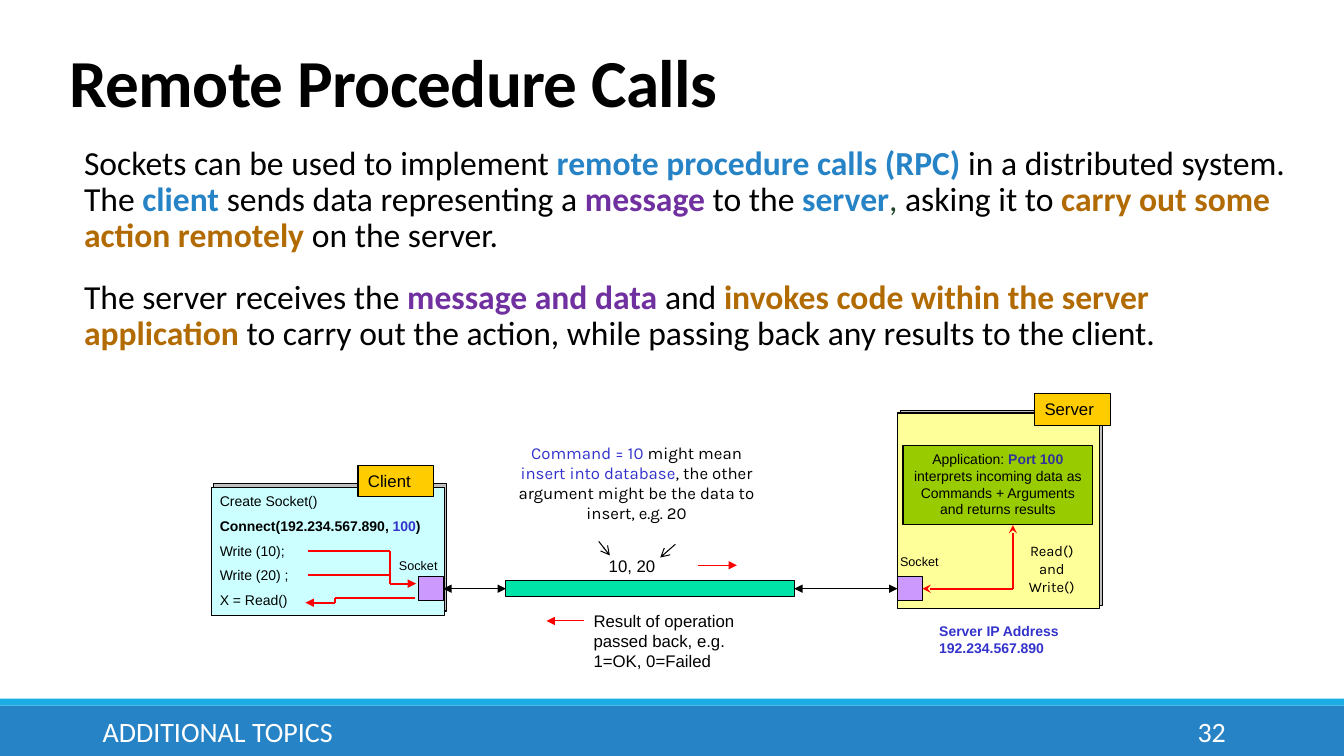
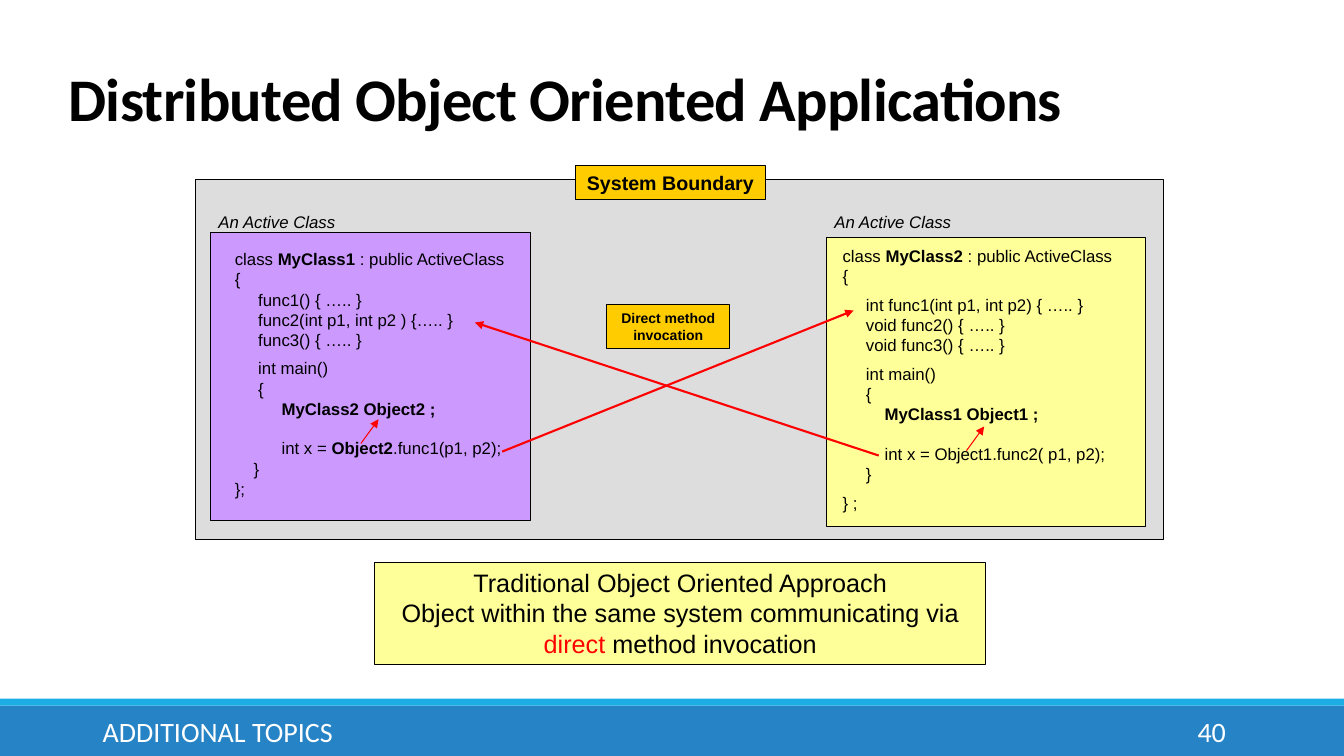
from itertools import pairwise

from lxml.etree import SubElement
from pptx import Presentation
from pptx.dml.color import RGBColor
from pptx.enum.shapes import MSO_CONNECTOR as CONN, MSO_SHAPE as SHAPE
from pptx.enum.text import MSO_ANCHOR as ANCHOR, MSO_AUTO_SIZE as AUTO, PP_ALIGN as ALIGN
from pptx.oxml.ns import qn
from pptx.util import Pt

COLORS = {
    "black": "000000", "white": "FFFFFF", "red": "FF0000",
    "band": "2683C6", "stripe": "1CADE4", "purple": "7030A0", "brown": "B26B02",
    "comma": "1F442A", "indigo": "3333CC", "port": "333399", "shadow": "C0C0C0",
    "cyan": "CCFFFF", "yellow": "FFFF99", "gold": "FFCC00", "lilac": "CC99FF",
    "lime": "99CC00", "mint": "00E4A8", "grey": "DDDDDD",
}
TOP, LEFT, BOTTOM, RIGHT = range(4)
INSET = (7.2, 3.6, 7.2, 3.6)
SPACE = 3.34  # width of one code space at 12 pt

BLUE = {"color": "band", "bold": True}
PURPLE = {"color": "purple", "bold": True}
BROWN = {"color": "brown", "bold": True}
INDIGO = {"color": "indigo"}
BOLD = {"bold": True}


def rgb(name):
    return RGBColor.from_string(COLORS[name])


# Text
def write(tf, paras, size=12, gap=0, align=ALIGN.LEFT, anchor=ANCHOR.TOP, inset=INSET,
          spacing=None, name="Arial", color="black", **base):
    """Each paragraph is a list of strings or (string, style) pairs."""
    frame = {"word_wrap": True, "auto_size": AUTO.NONE, "vertical_anchor": anchor}
    sides = ("margin_left", "margin_top", "margin_right", "margin_bottom")
    frame.update((side, Pt(v)) for side, v in zip(sides, inset))
    for attr, value in frame.items():
        setattr(tf, attr, value)
    for i, runs in enumerate(paras):
        p = tf.add_paragraph() if i else tf.paragraphs[0]
        p.alignment, p.line_spacing = align, spacing
        p.space_before = Pt(gap if i else 0)
        for run in runs:
            text, style = (run, {}) if isinstance(run, str) else run
            r = p.add_run()
            r.text = text
            values = {"size": Pt(size), "name": name, "color": color, **base, **style}
            r.font.color.rgb = rgb(values.pop("color"))
            for attr, value in values.items():
                setattr(r.font, attr, value)


def add_text(s, box, paras, **fmt):
    sp = s.shapes.add_textbox(*map(Pt, box))
    write(sp.text_frame, paras, **fmt)
    return sp


# Shapes and lines
def add_rect(s, box, fill, paras=(), line="black", **fmt):
    sp = s.shapes.add_shape(SHAPE.RECTANGLE, *map(Pt, box))
    sp.shadow.inherit = False
    sp.fill.solid()
    sp.fill.fore_color.rgb = rgb(fill)
    if line:
        sp.line.color.rgb = rgb(line)
        sp.line.width = Pt(0.75)
    else:
        sp.line.fill.background()
    write(sp.text_frame, paras, **fmt)
    return sp


def add_line(s, start, end, color="red", width=0.75, head=None, tail=None):
    c = s.shapes.add_connector(CONN.STRAIGHT, *map(Pt, (*start, *end)))
    c.line.color.rgb = rgb(color)
    c.line.width = Pt(width)
    ln = c.line._get_or_add_ln()
    for tag, kind in (("a:headEnd", head), ("a:tailEnd", tail)):
        if kind:
            SubElement(ln, qn(tag), type=kind)
    SubElement(c._element.spPr, qn("a:effectLst"))
    return c


def add_route(s, points, head=None, tail=None):
    """Join the points by straight lines, with arrowheads at the two ends."""
    legs = list(pairwise(points))
    last = len(legs) - 1
    return [add_line(s, a, b, width=1.5, head=None if i else head,
                     tail=tail if i == last else None)
            for i, (a, b) in enumerate(legs)]


def shift(x, y, *points):
    return [(x + dx, y + dy) for dx, dy in points]


# Shared slide frame: title, bands, footer
def new_slide(prs, title, box, size, number):
    s = prs.slides.add_slide(prs.slide_layouts[5])
    add_rect(s, (0, 504, 960, 36), "band", line=None)
    add_rect(s, (0, 499, 960, 5), "stripe", line=None)
    footer = {"size": 20, "name": "Calibri", "color": "white", "anchor": ANCHOR.MIDDLE}
    add_text(s, (66.2, 508.3, 604, 28.8), [["ADDITIONAL TOPICS"]], **footer)
    add_text(s, (779.8, 508.3, 103, 28.8), [[number]], align=ALIGN.RIGHT, **footer)
    sp = s.shapes.title
    sp.left, sp.top, sp.width, sp.height = map(Pt, box)
    write(sp.text_frame, [[title]], size=size, name="Calibri", bold=True,
          anchor=ANCHOR.BOTTOM, spacing=0.85)
    for r in sp.text_frame.paragraphs[0].runs:
        r._r.get_or_add_rPr().set("spc", "-50")
    return s


# Remote procedure calls: one machine with its tab and socket
def machine(s, box, fill, name, shadow, tab, socket, label, paras=(), **fmt):
    x, y, w, h = box
    add_rect(s, (x + shadow[0], y + shadow[1], w, h), "shadow")
    add_rect(s, box, fill, paras, **fmt)
    add_rect(s, (x + tab[0], y + tab[1], 54, 22.3), "gold", [[name]])
    add_text(s, (x + label[0], y + label[1], 59, 18), [["Socket"]], size=9)
    return add_rect(s, (x + socket[0], y + socket[1], 18, 17.5), "lilac")


def client(s, box):
    x, y = box[:2]
    calls = [["Create Socket()"],
             [("Connect(192.234.567.890, ", BOLD), ("100", {**BOLD, **INDIGO}), (")", BOLD)],
             ["Write (10);"], ["Write (20) ;"], ["X = Read()"]]
    socket = machine(s, box, "cyan", "Client", (1.5, -3), (104.5, -16), (147.5, 63.25),
                     (126.7, 46.8), calls, size=10, gap=5.6, inset=(5.8, 3.6, 0, 0))
    # Writes go to the socket, the read comes back
    add_route(s, shift(x, y, (69, 45.3), (127.5, 45.3), (127.5, 68.4), (146, 68.4)),
              tail="triangle")
    add_route(s, shift(x, y, (69, 62), (127.5, 62)))
    add_route(s, shift(x, y, (145.5, 78.5), (88, 78.5), (88, 82), (67, 82)),
              tail="triangle")
    return socket


def server(s, box):
    x, y = box[:2]
    socket = machine(s, box, "yellow", "Server", (2, -2), (98, -13.7), (0, 116.75),
                     (-5.2, 97.4))
    add_rect(s, (x + 4, y + 23.2, 135.4, 56.2), "lime",
             [["Application: ", ("Port 100", {"color": "port", "bold": True})],
              ["interprets incoming data as Commands + Arguments and returns results"]],
             size=10, align=ALIGN.CENTER)
    route = add_route(s, shift(x, y, (18, 125.5), (82.5, 125.5), (82.5, 80.1)),
                      head="stealth", tail="stealth")
    route[0].begin_connect(socket, RIGHT)
    add_text(s, (x + 82.6, y + 88.8, 55.4, 43.2), [["Read() and Write()"]],
             size=10.5, name="Karla", align=ALIGN.CENTER)
    add_text(s, (x + 22.8, y + 146.4, 116.6, 31),
             [["Server IP Address"], ["192.234.567.890"]],
             size=10, color="indigo", bold=True)
    return socket


def channel(s, box, client_socket, server_socket):
    x, y, w, h = box
    bar = add_rect(s, box, "mint")
    for a, side_a, b, side_b in ((client_socket, RIGHT, bar, LEFT),
                                 (bar, RIGHT, server_socket, LEFT)):
        c = add_line(s, (x, y), (x + w, y), "black", head="triangle", tail="triangle")
        c.begin_connect(a, side_a)
        c.end_connect(b, side_b)
    # Message above the bar
    add_text(s, (x - 5, y - 102.2, 196.6, 65),
             [[("Command = 10", INDIGO), " might mean ", ("insert into database", INDIGO),
               ", the other argument might be the data to insert, e.g. 20"]],
             name="Karla", align=ALIGN.CENTER)
    add_text(s, (x + 66.3, y - 21, 76, 21.6), [["10, 20"]])
    for hint in (((66.3, -28), (74.2, -18)), ((121, -26), (110.2, -16.5))):
        add_line(s, *shift(x, y, *hint), "black", tail="arrow")
    add_line(s, *shift(x, y, (137.5, -11), (165, -11)), tail="triangle")
    # Result below the bar
    add_text(s, (x + 55.5, y + 18, 137.5, 51),
             [["Result of operation passed back, e.g. 1=OK, 0=Failed"]])
    add_line(s, *shift(x, y, (29, 28.8), (56, 28.8)), head="triangle")


def rpc_slide(prs):
    s = new_slide(prs, "Remote Procedure Calls", (42.5, 29.5, 792, 61), 48, "32")
    body = add_text(s, (60, 100.8, 866, 156), [
        ["Sockets can be used to implement ", ("remote procedure calls (RPC) ", BLUE),
         "in a distributed system. The ", ("client", BLUE), " sends data representing a ",
         ("message", PURPLE), " to the ", ("server", BLUE), (",", {"color": "comma"}),
         " asking it to ", ("carry out some action remotely", BROWN), " on the server."],
        ["The server receives the ", ("message and data ", PURPLE), "and ",
         ("invokes code within the server application", BROWN),
         " to carry out the action, while passing back any results to the client."],
    ], size=24, name="Calibri", spacing=0.9, inset=(0, 3.6, 0, 3.6))
    for p in body.text_frame.paragraphs:
        p.space_after = Pt(18)
    client_socket = client(s, (151.2, 348.5, 166.3, 91))
    server_socket = server(s, (641, 295, 144.5, 139.5))
    channel(s, (361.4, 414.75, 206, 11.5), client_socket, server_socket)


# Distributed objects: one class listing; lines are (spaces, gap before, runs)
def class_panel(s, box, fill, label_rise, margin, lines, arrow):
    x, y = box[:2]
    sp = add_rect(s, box, fill, [runs for _, _, runs in lines], inset=(*margin, 0, 0))
    for p, (spaces, before, _) in zip(sp.text_frame.paragraphs, lines):
        p.space_before = Pt(before)
        p._p.get_or_add_pPr().set("marL", str(Pt(spaces * SPACE)))
    add_text(s, (x - 1.5, y - label_rise, 126.7, 21.6), [["An Active Class"]], italic=True)
    add_line(s, *shift(x, y, arrow, (arrow[0] + 12.6, arrow[1] - 17.3)), tail="triangle")


def boundary(s, box):
    x, y = box[:2]
    add_rect(s, box, "grey")
    class_panel(s, (x + 10.8, y + 38.1, 228.2, 205.5), "lilac", 18.7, (17.3, 11.5), [
        (0, 0, ["class ", ("MyClass1", BOLD), " : public ActiveClass"]),
        (0, 0, ["{"]),
        (5, 0, ["func1() { ….. }"]),
        (5, 0, ["func2(int p1, int p2 ) {….. }"]),
        (5, 0, ["func3() { ….. }"]),
        (5, 6, ["int main()"]),
        (5, 0, ["{"]),
        (10, 0, [("MyClass2 Object2 ;", BOLD)]),
        (10, 14, ["int x = ", ("Object2", BOLD), ".func1(p1, p2);"]),
        (4, 0, ["}"]),
        (0, 0, ["};"]),
    ], (107.3, 150.5))
    class_panel(s, (x + 450.7, y + 41.7, 228.2, 206), "yellow", 22.3, (11.5, 5.8), [
        (0, 0, ["class ", ("MyClass2", BOLD), " : public ActiveClass"]),
        (0, 0, ["{"]),
        (5, 6, ["int func1(int p1, int p2) { ….. }"]),
        (5, 0, ["void func2() { ….. }"]),
        (5, 0, ["void func3() { ….. }"]),
        (5, 6, ["int main()"]),
        (5, 0, ["{"]),
        (9, 0, [("MyClass1 Object1 ;", BOLD)]),
        (9, 14, ["int x = Object1.func2( p1, p2);"]),
        (5, 0, ["}"]),
        (0, 6, ["} ;"]),
    ], (100, 152))
    # Calls between the two classes
    for call in (((219, 194.4), (470, 93.6)), ((488, 197.2), (199.5, 102.2))):
        add_route(s, shift(x, y, *call), tail="triangle")
    add_rect(s, (x + 293.7, y + 89.2, 87.8, 31.7), "gold", [["Direct method invocation"]],
             size=10, bold=True, align=ALIGN.CENTER)
    add_rect(s, (x + 271.5, y - 10, 135.4, 24.5), "gold", [["System Boundary"]],
             size=14, bold=True, align=ALIGN.CENTER, inset=(3, 3.6, 3, 3.6))


def objects_slide(prs):
    s = new_slide(prs, "Distributed Object Oriented Applications",
                  (41.8, 38.2, 792, 61), 43.2, "40")
    boundary(s, (139.7, 128.2, 691.2, 257))
    add_rect(s, (267.8, 401.8, 436.3, 72.7), "yellow",
             [["Traditional Object Oriented Approach"],
              ["Object within the same system communicating via ",
               ("direct", {"color": "red"}), " method invocation"]],
             size=18, align=ALIGN.CENTER)


def main():
    prs = Presentation()
    prs.slide_width, prs.slide_height = Pt(960), Pt(540)
    rpc_slide(prs)
    objects_slide(prs)
    prs.save("out.pptx")


if __name__ == "__main__":
    main()
